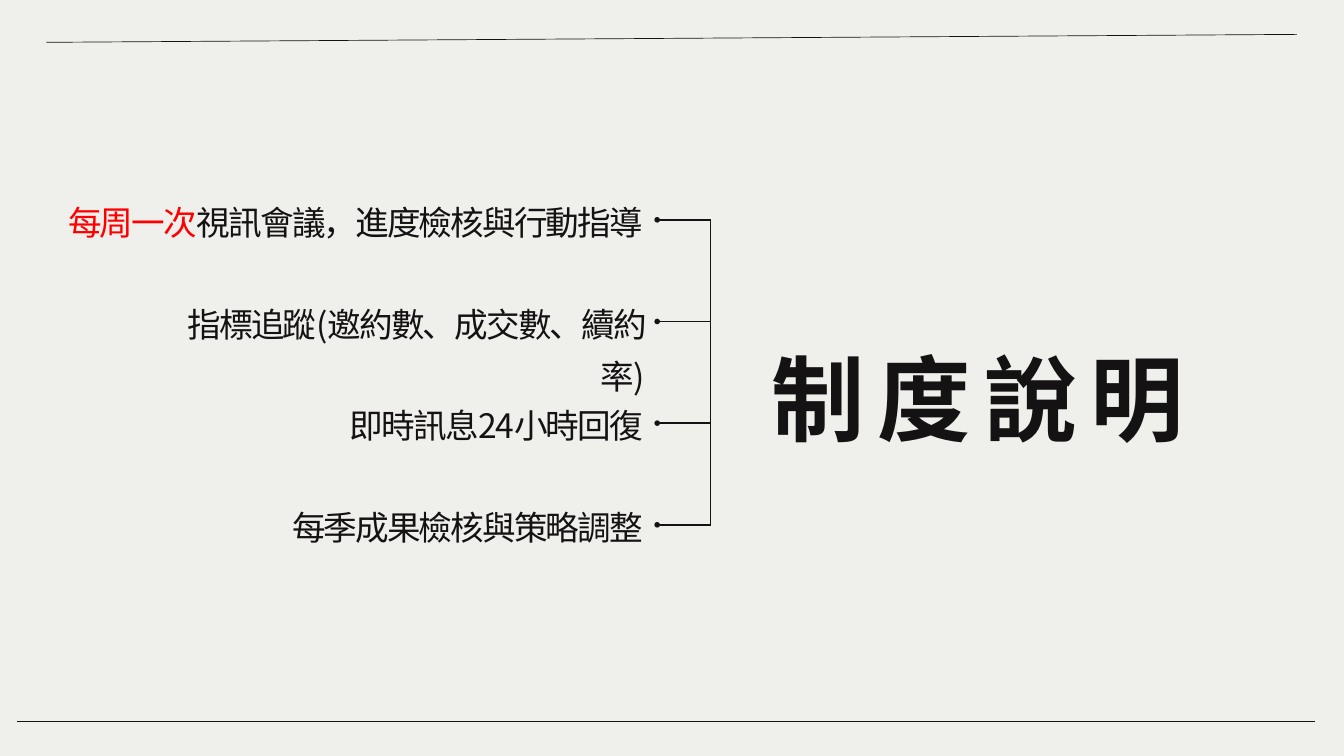
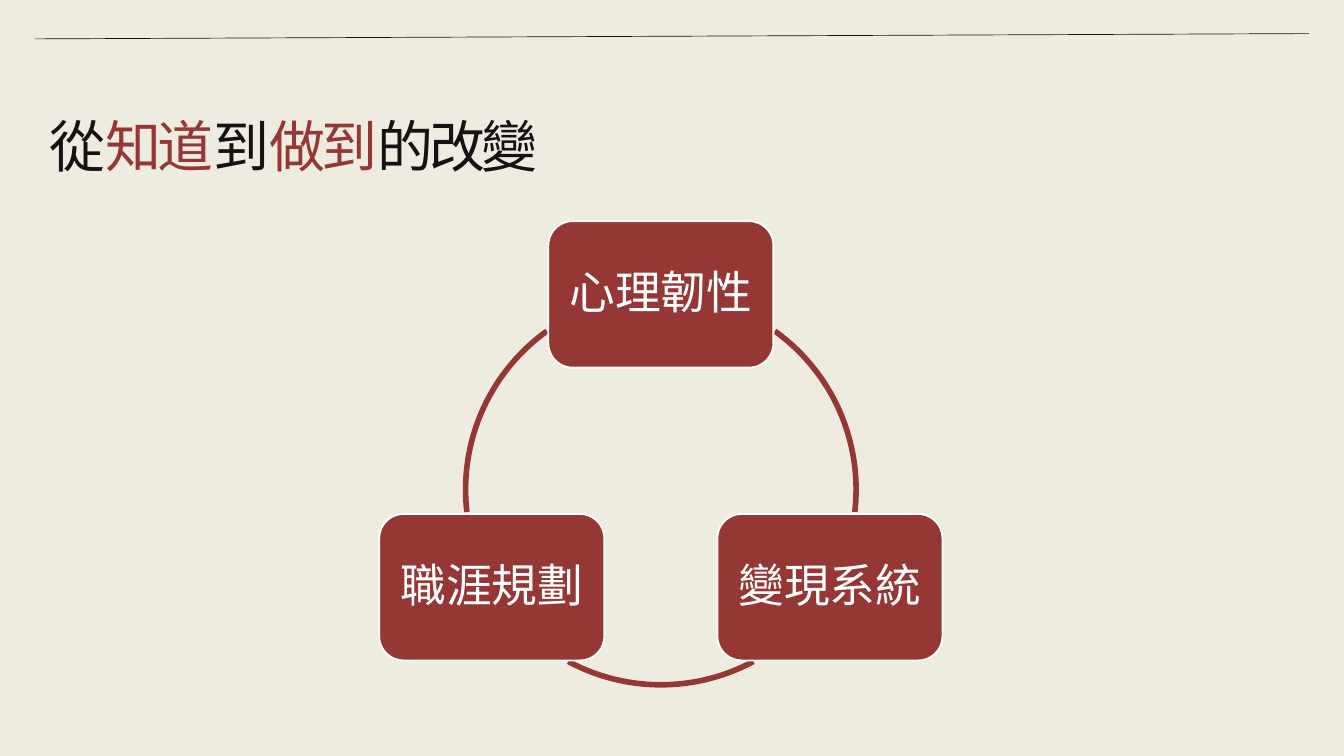
from collections import namedtuple
from math import cos, radians, sin

from lxml.etree import SubElement
from pptx import Presentation
from pptx.dml.color import RGBColor
from pptx.enum.shapes import MSO_CONNECTOR as Connector, MSO_SHAPE as Shape
from pptx.enum.text import MSO_ANCHOR as Anchor, MSO_AUTO_SIZE as AutoSize, PP_ALIGN as Align
from pptx.oxml.ns import qn
from pptx.util import Cm, Pt

Box = namedtuple("Box", "left top width height")

FONT = "Noto Sans CJK SC"
INK = RGBColor(0x15, 0x12, 0x13)
RED = RGBColor(0xFF, 0x00, 0x00)
BRICK = RGBColor(0x95, 0x37, 0x35)
WHITE = RGBColor(0xFF, 0xFF, 0xFF)
MIST = RGBColor(0xEF, 0xEF, 0xEC)
CREAM = RGBColor(0xEE, 0xEC, 0xE1)

TITLE_LEADING, TITLE_TRACKING = 200, -4.4
ITEM_LEADING, ITEM_TRACKING = 55.8, -2


# Shared parts
def new_slide(deck, background):
    slide = deck.slides.add_slide(deck.slide_layouts[6])
    slide.background.fill.solid()
    slide.background.fill.fore_color.rgb = background
    return slide


def add_rule(slide, x1, y1, x2, y2, weight=0.75, dot=False):
    rule = slide.shapes.add_connector(Connector.STRAIGHT, Cm(x1), Cm(y1), Cm(x2), Cm(y2))
    rule.line.color.rgb = INK
    rule.line.width = Pt(weight)
    properties = rule._element.spPr
    if dot:
        SubElement(properties.find(qn("a:ln")), qn("a:headEnd"), type="oval")
    SubElement(properties, qn("a:effectLst"))


def style_paragraph(paragraph, size, align, tracking=0, bold=False):
    paragraph.alignment = align
    font = paragraph.font
    font.size, font.name, font.bold = Pt(size), FONT, bold
    defaults = font._element
    defaults.set("spc", str(round(tracking * 100)))
    SubElement(defaults, qn("a:ea"), typeface=FONT)


def add_text(slide, box, parts, size, align, leading, tracking, bold=False):
    """Write one paragraph from (words, colour) parts."""
    frame = slide.shapes.add_textbox(*map(Cm, box)).text_frame
    frame.word_wrap = True
    frame.auto_size = AutoSize.SHAPE_TO_FIT_TEXT
    frame.margin_left = frame.margin_right = frame.margin_top = frame.margin_bottom = 0
    paragraph = frame.paragraphs[0]
    paragraph.line_spacing = Pt(leading)
    style_paragraph(paragraph, size, align, tracking, bold)
    for words, colour in parts:
        run = paragraph.add_run()
        run.text = words
        run.font.color.rgb = colour


def add_title(slide, box, parts, size, align, bold=False):
    add_text(slide, box, parts, size, align, TITLE_LEADING, TITLE_TRACKING, bold)


# Bracket: items on the left, each joined to one upright stem
def add_bracket(slide, box, items):
    stem = box.left + box.width
    step = box.height / (len(items) - 1)
    add_rule(slide, stem, box.top, stem, box.top + box.height, 1.5)
    for row, (indent, width, parts) in enumerate(items):
        y = box.top + row * step
        add_text(slide, Box(box.left + indent, y - 1.12, width, 1.85), parts,
                 36, Align.RIGHT, ITEM_LEADING, ITEM_TRACKING)
        add_rule(slide, stem - 2.02, y, stem, y, 1.5, dot=True)


# Cycle: nodes evenly spread on a ring, clockwise from the top
def add_cycle(slide, ring, labels, arcs):
    for start, end in arcs:
        arc = slide.shapes.add_shape(Shape.ARC, *map(Cm, ring))
        arc.shadow.inherit = False
        arc.fill.background()
        arc.line.color.rgb = BRICK
        arc.line.width = Pt(6)
        # Arc angles count 60000 to the degree, adjustments 100000 to the unit
        arc.adjustments[0], arc.adjustments[1] = start * 0.6, end * 0.6

    node_width, node_height = 8.51, 5.54
    radius = ring.width / 2
    for index, label in enumerate(labels):
        angle = radians(index * 360 / len(labels) - 90)
        left = ring.left + radius * (1 + cos(angle)) - node_width / 2
        top = ring.top + radius * (1 + sin(angle)) - node_height / 2
        node = slide.shapes.add_shape(Shape.ROUNDED_RECTANGLE, Cm(left), Cm(top),
                                      Cm(node_width), Cm(node_height))
        node.shadow.inherit = False
        node.fill.solid()
        node.fill.fore_color.rgb = BRICK
        node.line.color.rgb = WHITE
        node.line.width = Pt(2)
        frame = node.text_frame
        frame.word_wrap = True
        frame.vertical_anchor = Anchor.MIDDLE
        frame.margin_left = frame.margin_right = frame.margin_top = frame.margin_bottom = Cm(0.48)
        paragraph = frame.paragraphs[0]
        paragraph.text = label
        paragraph.line_spacing = 0.9
        style_paragraph(paragraph, 49, Align.CENTER)
        paragraph.font.color.rgb = WHITE


# Slides
def build_system_slide(deck):
    slide = new_slide(deck, MIST)
    items = [
        (0, 22.5, [("每周一次", RED), ("視訊會議，進度檢核與行動指導", INK)]),
        (3.91, 18.67, [("指標追蹤(邀約數、成交數、續約率)", INK)]),
        (6.22, 16.28, [("即時訊息24小時回復", INK)]),
        (6.22, 16.28, [("每季成果檢核與策略調整", INK)]),
    ]
    add_bracket(slide, Box(1.8, 8.31, 25.06, 11.53), items)
    add_rule(slide, 1.75, 1.6, 49.02, 1.3)
    add_rule(slide, 0.64, 27.28, 49.71, 27.28)
    add_title(slide, Box(29.16, 10.06, 18.21, 6.2), [("制 度 說 明", INK)],
              100, Align.LEFT, bold=True)


def build_change_slide(deck):
    slide = new_slide(deck, CREAM)
    title = [("從", INK), ("知道", BRICK), ("到", INK), ("做到", BRICK), ("的改變", INK)]
    add_title(slide, Box(1.88, -0.3, 19.94, 5.84), title, 60, Align.JUSTIFY)
    add_rule(slide, 1.32, 1.47, 49.48, 1.27)
    add_cycle(slide, Box(17.6, 11.13, 14.76, 14.76),
              ["心理韌性", "變現系統", "職涯規劃"],
              [(305.7, 6.6), (61.7, 118.3), (173.4, 234.3)])


def main():
    deck = Presentation()
    deck.slide_width, deck.slide_height = Cm(50.8), Cm(28.58)
    build_system_slide(deck)
    build_change_slide(deck)
    deck.save("out.pptx")


if __name__ == "__main__":
    main()
